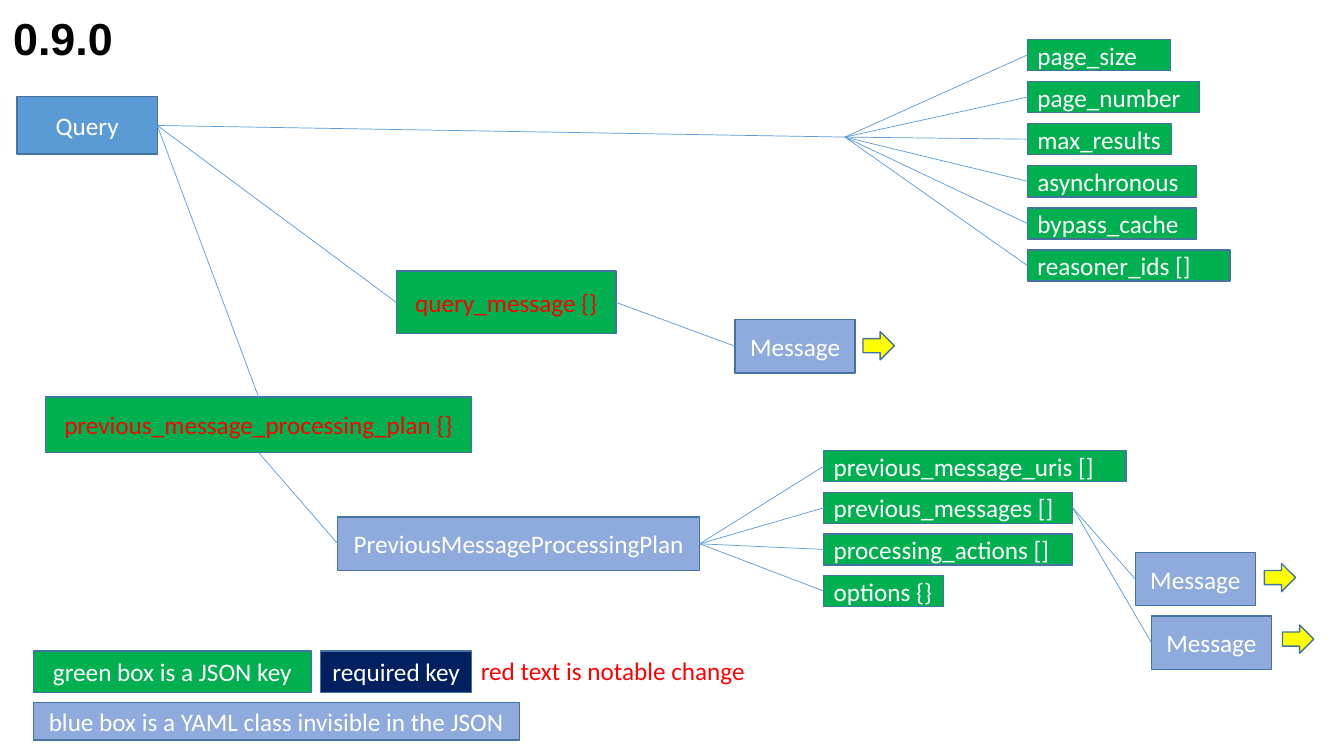
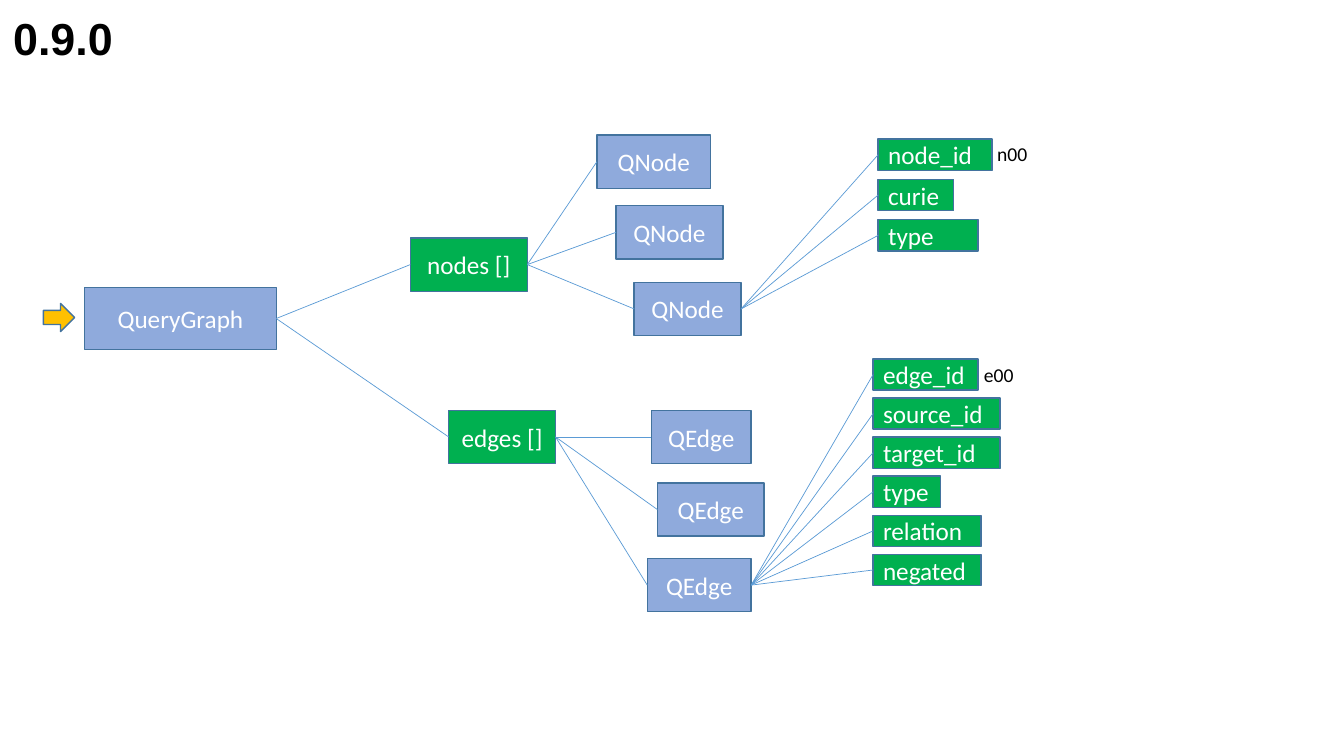
from dataclasses import dataclass
from typing import NamedTuple

from lxml.etree import SubElement
from pptx import Presentation
from pptx.dml.color import RGBColor
from pptx.enum.shapes import MSO_CONNECTOR, MSO_SHAPE
from pptx.enum.text import MSO_ANCHOR, MSO_AUTO_SIZE, PP_ALIGN
from pptx.oxml.ns import qn
from pptx.shapes.autoshape import Shape
from pptx.slide import Slide
from pptx.util import Inches, Pt

WIDTH, HEIGHT = Inches(13.33), Inches(7.5)
COLUMN, ROW = WIDTH / 133.3, HEIGHT / 75

BLACK = RGBColor(0x00, 0x00, 0x00)
WHITE = RGBColor(0xFF, 0xFF, 0xFF)
RED = RGBColor(0xFF, 0x00, 0x00)
YELLOW = RGBColor(0xFF, 0xFF, 0x00)
AMBER = RGBColor(0xFF, 0xC0, 0x00)
GREEN = RGBColor(0x00, 0xB0, 0x50)
NAVY = RGBColor(0x00, 0x20, 0x60)
BLUE = RGBColor(0x5B, 0x9B, 0xD5)
PERIWINKLE = RGBColor(0x8F, 0xAA, 0xDC)
OUTLINE = RGBColor(0x43, 0x73, 0x9E)

TOP_SITE, LEFT_SITE, BOTTOM_SITE, RIGHT_SITE = range(4)
KEY_ROWS = 3.1
CLASS_ROWS = 5.3
MESSAGE_COLUMNS = 11.9


class Point(NamedTuple):
    column: float
    row: float


class Key(NamedTuple):
    text: str
    columns: float


@dataclass(frozen=True)
class Box:
    text: str
    column: float
    row: float
    columns: float
    rows: float = CLASS_ROWS
    fill: RGBColor = PERIWINKLE
    color: RGBColor = WHITE
    align: PP_ALIGN = PP_ALIGN.CENTER


@dataclass(frozen=True)
class KeyList:
    column: float
    row: float
    pitch: float
    keys: tuple[Key, ...]


@dataclass(frozen=True)
class Label:
    text: str
    column: float
    row: float
    columns: float
    rows: float
    size: int
    color: RGBColor


def frame(column: float, row: float, columns: float, rows: float) -> tuple[int, ...]:
    return (round(column * COLUMN), round(row * ROW),
            round(columns * COLUMN), round(rows * ROW))


def format_text(shape: Shape, size: int, color: RGBColor, align: PP_ALIGN,
                name: str = "Calibri", bold: bool = False) -> None:
    for para in shape.text_frame.paragraphs:
        para.alignment = align
        for span in para.runs:
            span.font.name = name
            span.font.size = Pt(size)
            span.font.bold = bold
            span.font.color.rgb = color


def add_page(deck: Presentation, title: str) -> Slide:
    page = deck.slides.add_slide(deck.slide_layouts[5])
    heading = page.shapes.title
    heading.left, heading.top, heading.width, heading.height = frame(0.3, 0.6, 19.2, 6.4)
    heading.text_frame.text = title
    heading.text_frame.vertical_anchor = MSO_ANCHOR.TOP
    heading.text_frame.auto_size = MSO_AUTO_SIZE.NONE
    format_text(heading, 32, BLACK, PP_ALIGN.LEFT, "Arial", True)
    return page


def add_outlined(page: Slide, kind: MSO_SHAPE, place: tuple[int, ...],
                 fill: RGBColor) -> Shape:
    shape = page.shapes.add_shape(kind, *place)
    shape.shadow.inherit = False
    shape.fill.solid()
    shape.fill.fore_color.rgb = fill
    shape.line.color.rgb = OUTLINE
    shape.line.width = Pt(1)
    return shape


def add_box(page: Slide, box: Box) -> Shape:
    place = frame(box.column, box.row, box.columns, box.rows)
    shape = add_outlined(page, MSO_SHAPE.RECTANGLE, place, box.fill)
    shape.text_frame.text = box.text
    shape.text_frame.vertical_anchor = MSO_ANCHOR.MIDDLE
    format_text(shape, 18, box.color, box.align)
    return shape


def add_keys(page: Slide, group: KeyList) -> list[Shape]:
    return [
        add_box(page, Box(key.text, group.column, group.row + index * group.pitch,
                          key.columns, KEY_ROWS, GREEN, WHITE, PP_ALIGN.LEFT))
        for index, key in enumerate(group.keys)
    ]


def add_arrow(page: Slide, column: float, row: float, fill: RGBColor) -> None:
    add_outlined(page, MSO_SHAPE.RIGHT_ARROW, frame(column, row, 3.1, 2.8), fill)


def add_label(page: Slide, label: Label) -> None:
    box = page.shapes.add_textbox(*frame(label.column, label.row, label.columns, label.rows))
    box.text_frame.word_wrap = False
    box.text_frame.text = label.text
    format_text(box, label.size, label.color, PP_ALIGN.LEFT)


def link(page: Slide, start: Shape | Point, ends: list[Shape | Point],
         start_site: int = RIGHT_SITE, end_site: int = LEFT_SITE) -> None:
    for end in ends:
        corner = next((item for item in (start, end) if isinstance(item, Point)), Point(0, 0))
        spot = round(corner.column * COLUMN), round(corner.row * ROW)
        line = page.shapes.add_connector(MSO_CONNECTOR.STRAIGHT, *spot, *spot)
        if not isinstance(start, Point):
            line.begin_connect(start, start_site)
        if not isinstance(end, Point):
            line.end_connect(end, end_site)
        line.line.color.rgb = BLUE
        line.line.width = Pt(0.5)
        SubElement(line.element.spPr, qn("a:effectLst"))


def build_query_page(deck: Presentation) -> None:
    page = add_page(deck, "0.9.0")
    query = add_box(page, Box("Query", 1.7, 9.6, 13.9, 5.7, BLUE))
    query_message = add_box(page, Box("query_message {}", 39.3, 26.9, 21.8, 6.2, GREEN, RED))
    plan_key = add_box(page, Box("previous_message_processing_plan {}",
                                 4.5, 39.4, 42.3, 5.5, GREEN, RED))
    plan = add_box(page, Box("PreviousMessageProcessingPlan", 33.5, 51.3, 35.9))
    options = add_keys(page, KeyList(101.9, 3.9, 4.18, (
        Key("page_size", 14.2), Key("page_number", 17.1), Key("max_results", 14.3),
        Key("asynchronous", 16.8), Key("bypass_cache", 16.8), Key("reasoner_ids []", 20.1))))
    plan_keys = add_keys(page, KeyList(81.7, 44.7, 4.13, (
        Key("previous_message_uris []", 30), Key("previous_messages []", 24.7),
        Key("processing_actions []", 24.7), Key("options {}", 11.9))))
    message, first_previous, second_previous = [
        add_box(page, Box("Message", column, row, MESSAGE_COLUMNS))
        for column, row in ((72.9, 31.7), (112.6, 54.8), (114.2, 61.1))
    ]
    for column, row in ((85.6, 32.9), (125.4, 55.9), (127.2, 62)):
        add_arrow(page, column, row, YELLOW)

    hub = Point(83.8, 13.6)
    link(page, query, [hub, query_message])
    link(page, query, [plan_key], end_site=TOP_SITE)
    link(page, hub, options)
    link(page, query_message, [message])
    link(page, plan_key, [plan], start_site=BOTTOM_SITE)
    link(page, plan, plan_keys)
    link(page, plan_keys[1], [first_previous, second_previous])

    for legend in (
        Box("green box is a JSON key", 3.3, 64.6, 27.6, 4.1, GREEN),
        Box("required key", 31.8, 64.6, 15, 4.1, NAVY),
        Box("blue box is a YAML class invisible in the JSON", 3.3, 69.7, 48.2, 3.7),
    ):
        add_box(page, legend)
    add_label(page, Label("red text is notable change", 46.7, 64.5, 28.5, 4, 18, RED))


def build_graph_page(deck: Presentation) -> None:
    page = add_page(deck, "0.9.0")
    graph = add_box(page, Box("QueryGraph", 8.4, 28.5, 19, 6.2))
    nodes = add_box(page, Box("nodes []", 40.7, 23.6, 11.6, fill=GREEN))
    edges = add_box(page, Box("edges []", 44.5, 40.7, 10.6, fill=GREEN))
    node_boxes = [
        add_box(page, Box("QNode", column, row, columns))
        for column, row, columns in ((59.2, 13.4, 11.3), (61.1, 20.4, 10.6), (62.9, 28, 10.6))
    ]
    edge_boxes = [
        add_box(page, Box("QEdge", column, row, columns))
        for column, row, columns in ((64.6, 40.7, 9.9), (65.2, 47.9, 10.6), (64.2, 55.4, 10.3))
    ]
    node_keys = add_keys(page, KeyList(87.1, 13.8, 4, (
        Key("node_id", 11.3), Key("curie", 7.5), Key("type", 9.9))))
    edge_keys = add_keys(page, KeyList(86.6, 35.6, 3.88, (
        Key("edge_id", 10.4), Key("source_id", 12.6), Key("target_id", 12.6),
        Key("type", 6.7), Key("relation", 10.7), Key("negated", 10.7))))
    add_arrow(page, 4.3, 30.1, AMBER)

    link(page, graph, [nodes, edges])
    link(page, nodes, node_boxes)
    link(page, edges, edge_boxes)
    link(page, node_boxes[-1], node_keys)
    link(page, edge_boxes[-1], edge_keys)

    for text, column, row in (("n00", 97.9, 13.6), ("e00", 96.6, 35.5)):
        add_label(page, Label(text, column, row, 5.1, 3.4, 14, BLACK))


def main() -> None:
    deck = Presentation()
    deck.slide_width, deck.slide_height = WIDTH, HEIGHT
    build_query_page(deck)
    build_graph_page(deck)
    deck.save("out.pptx")


main()
